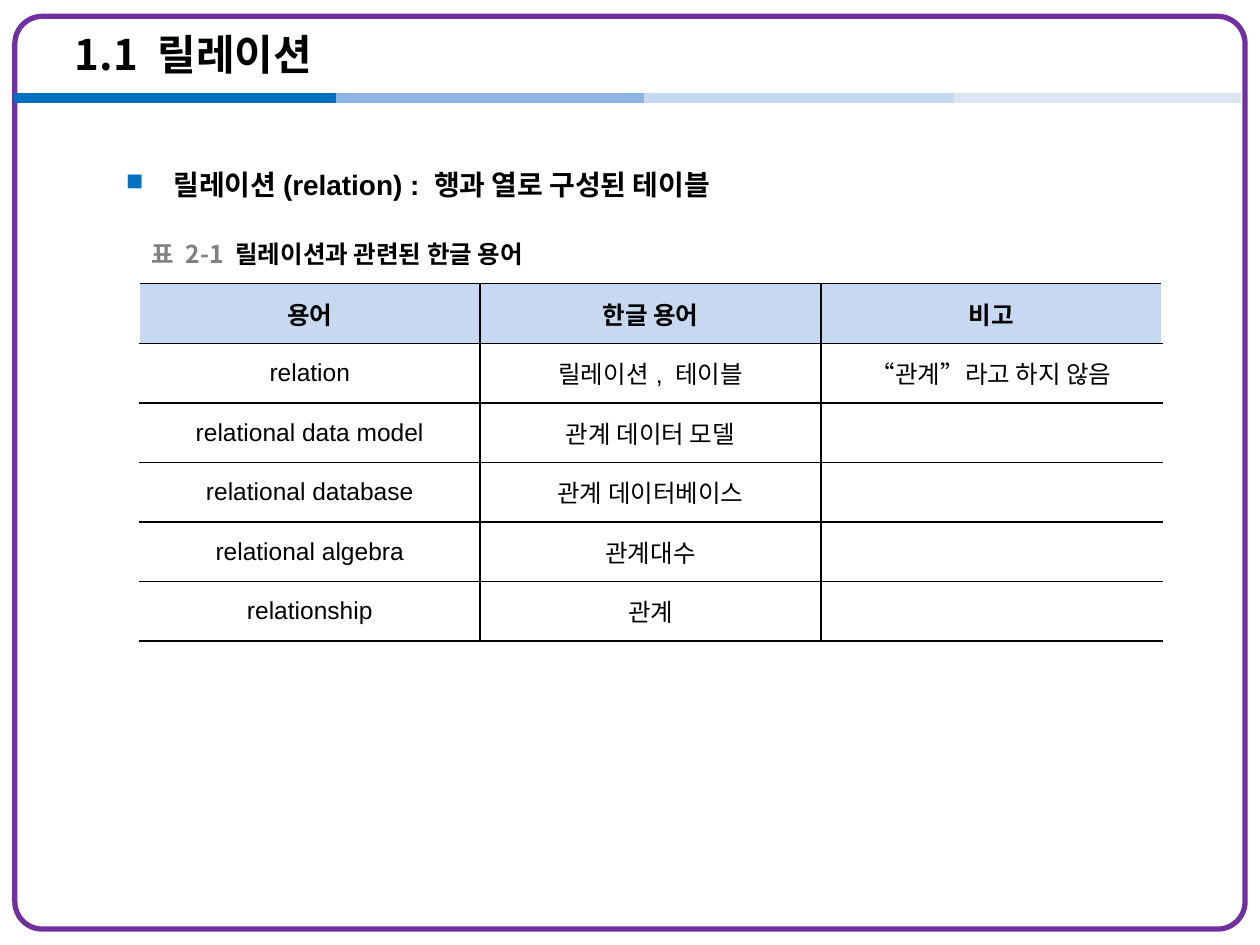
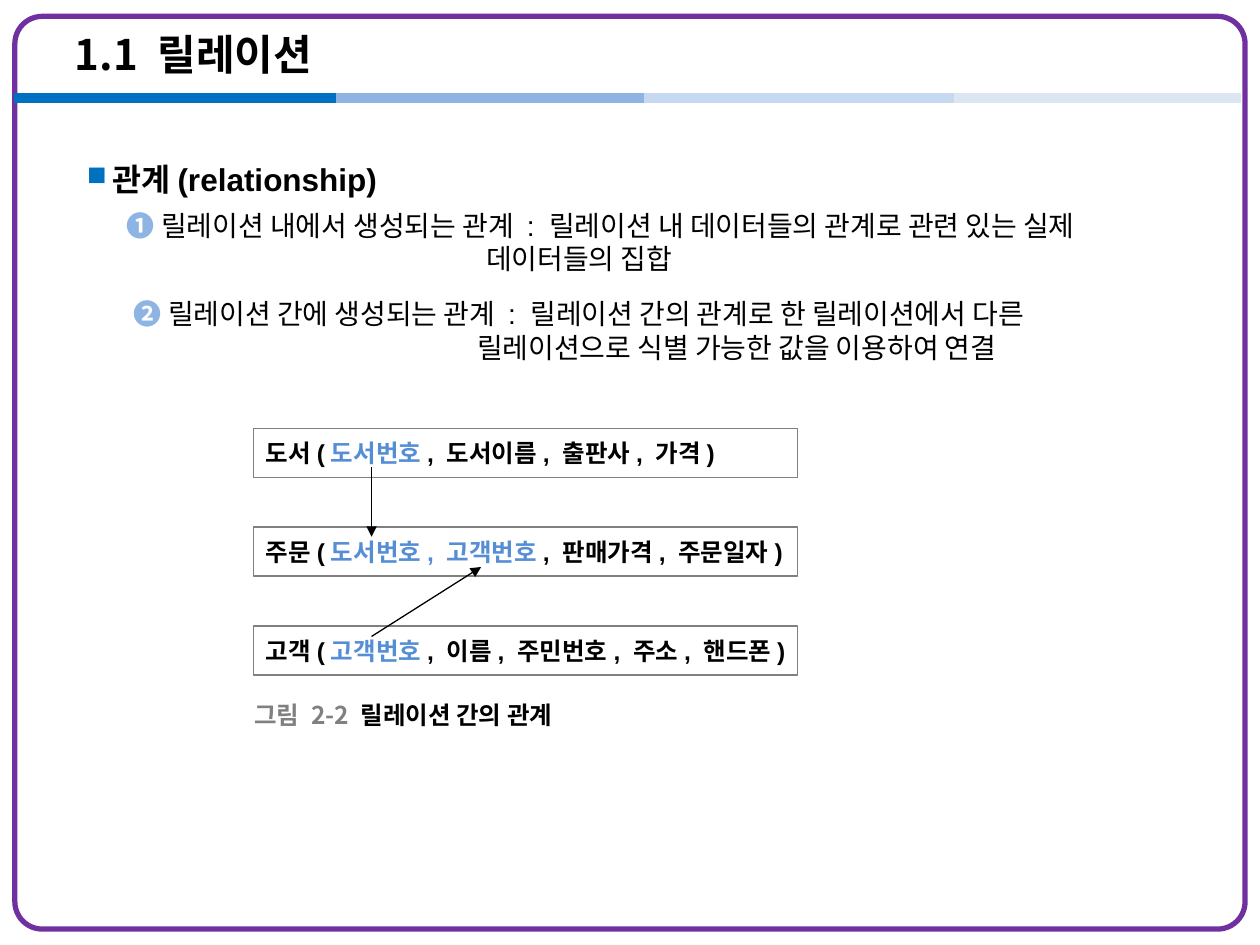
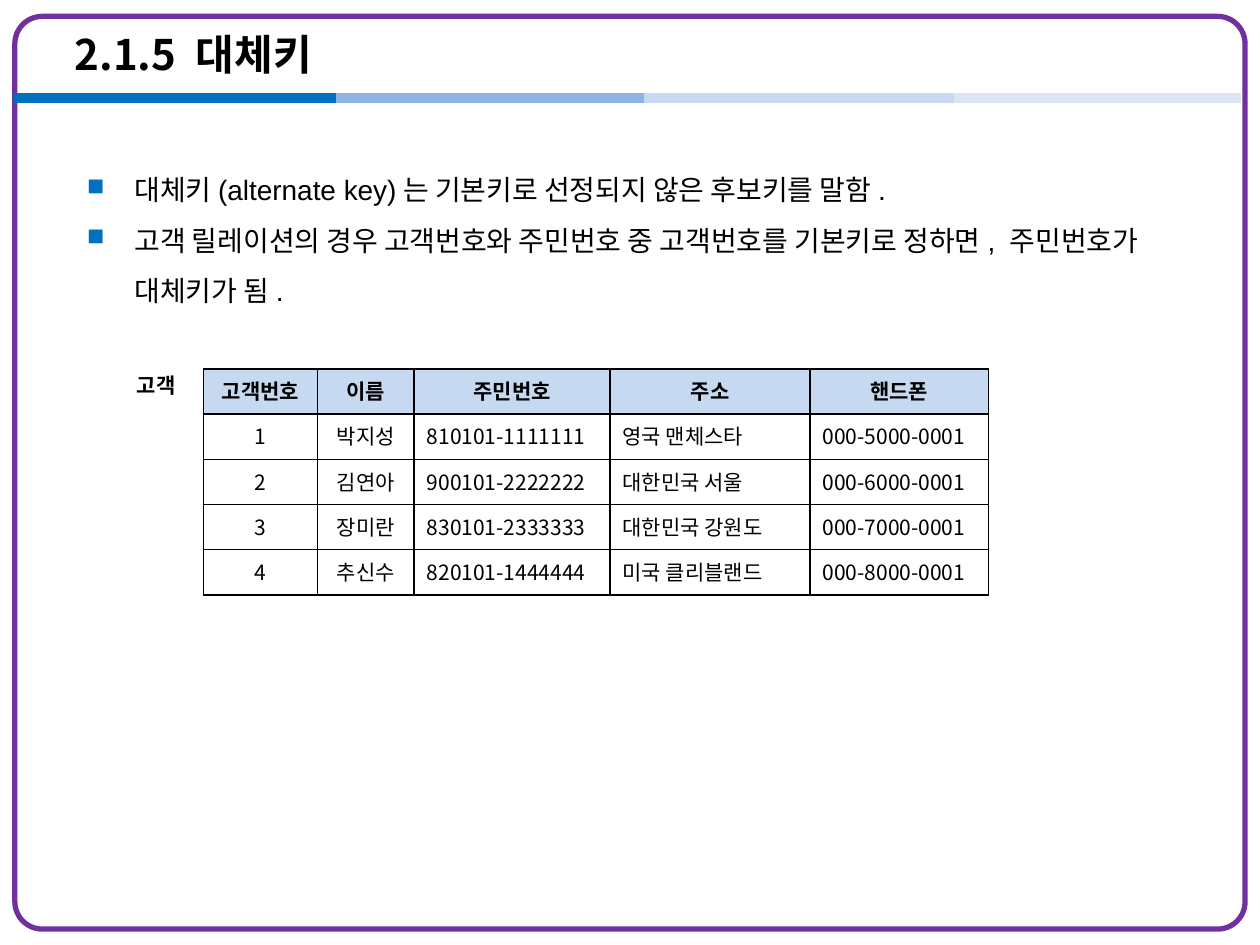
from lxml import etree
from pptx import Presentation
from pptx import util as u
from pptx.dml import color
from pptx.enum import shapes, text
from pptx.oxml import ns

Cm = u.Cm
COLORS = {
    "black": "000000", "white": "FFFFFF", "gray": "808080", "frame": "7030A0",
    "blue": "0070C0", "number": "8EB4E3", "header": "C6D9F1", "pale": "DCE6F2",
    "key": "558ED5",
}
LATIN, KOREAN = "Arial", "Noto Sans CJK KR"
LEFT, CENTER = text.PP_ALIGN.LEFT, text.PP_ALIGN.CENTER
TOP, MIDDLE = text.MSO_ANCHOR.TOP, text.MSO_ANCHOR.MIDDLE

# start, end and colour of each piece of the band under the title
BAND_TOP = 1.98
BAND = [(0.28, 6.78, "blue"), (6.78, 13.28, "number"),
        (12.98, 19.48, "header"), (19.23, 25.02, "pale")]

TERMS = [
    ("용어", "한글 용어", "비고"),
    ("relation", "릴레이션, 테이블", "“관계”라고 하지 않음"),
    ("relational data model", "관계 데이터 모델", ""),
    ("relational database", "관계 데이터베이스", ""),
    ("relational algebra", "관계대수", ""),
    ("relationship", "관계", ""),
]
CUSTOMERS = [
    ("고객번호", "이름", "주민번호", "주소", "핸드폰"),
    ("1", "박지성", "810101-1111111", "영국 맨체스타", "000-5000-0001"),
    ("2", "김연아", "900101-2222222", "대한민국 서울", "000-6000-0001"),
    ("3", "장미란", "830101-2333333", "대한민국 강원도", "000-7000-0001"),
    ("4", "추신수", "820101-1444444", "미국 클리블랜드", "000-8000-0001"),
]
# number, first line, its indent, second line, its indent
RELATIONSHIPS = [
    ("❶ ", "릴레이션 내에서 생성되는 관계 : 릴레이션 내 데이터들의 관계로 관련 있는 실제", 0.81,
     "데이터들의 집합", 8.05),
    ("❷ ", "릴레이션 간에 생성되는 관계 : 릴레이션 간의 관계로 한 릴레이션에서 다른", 0.95,
     "릴레이션으로 식별 가능한 값을 이용하여 연결", 7.87),
]
# relation name, its keys, its other attributes
SCHEMAS = [
    ("도서(", "도서번호", ", 도서이름, 출판사, 가격)"),
    ("주문(", "도서번호, 고객번호", ", 판매가격, 주문일자)"),
    ("고객(", "고객번호", ", 이름, 주민번호, 주소, 핸드폰)"),
]
KEY_ARROWS = [(7.49, 9.42, 7.49, 10.82), (7.49, 12.83, 9.7, 11.43)]
ALTERNATE_KEY = [
    "대체키(alternate key)는 기본키로 선정되지 않은 후보키를 말함.",
    "고객 릴레이션의 경우 고객번호와 주민번호 중 고객번호를 기본키로 정하면, 주민번호가 대체키가 됨.",
]


def rgb(name):
    return color.RGBColor.from_string(COLORS[name])


def add_xml(parent, tag, **attributes):
    return etree.SubElement(parent, ns.qn(tag), attributes)


def write(frame, content, new=False, size=16, font=LATIN, bold=False, ink="black",
          align=LEFT, margin=0, hanging=0, bullet=False, spacing=None, after=None):
    """Write one paragraph; content is a string or a list of (text, colour, bold)."""
    para = frame.add_paragraph() if new else frame.paragraphs[0]
    props = para._p.get_or_add_pPr()
    props.set("marL", str(Cm(margin)))
    props.set("indent", str(-Cm(hanging)))
    if bullet:
        add_xml(add_xml(props, "a:buClr"), "a:srgbClr", val=COLORS["blue"])
        add_xml(props, "a:buSzPct", val="85000")
        add_xml(props, "a:buChar", char="■")
    para.alignment = align
    if spacing:
        para.line_spacing = spacing
    if after:
        para.space_after = u.Pt(after)
    spans = [(content, ink, bold)] if isinstance(content, str) else content
    for words, span_ink, span_bold in spans:
        span = para.add_run()
        span.text = words
        span.font.size = u.Pt(size)
        span.font.bold = span_bold
        span.font.color.rgb = rgb(span_ink)
        span.font.name = font
        add_xml(span._r.get_or_add_rPr(), "a:ea", typeface=KOREAN)


def add_box(page, left, top, width, height, wrap=True, anchor=TOP):
    frame = page.shapes.add_textbox(Cm(left), Cm(top), Cm(width), Cm(height)).text_frame
    frame.word_wrap = wrap
    frame.vertical_anchor = anchor
    return frame


def add_caption(page, left, top, number, title):
    frame = add_box(page, left, top, 9.2, 0.78, anchor=MIDDLE)
    write(frame, [(number, "gray", True), (title, "black", True)], size=14, font=KOREAN)


def add_line(page, x1, y1, x2, y2, ink="black", width=0.75, arrow=False):
    line = page.shapes.add_connector(
        shapes.MSO_CONNECTOR.STRAIGHT, Cm(x1), Cm(y1), Cm(x2), Cm(y2))
    line.line.color.rgb = rgb(ink)
    line.line.width = u.Pt(width)
    if arrow:
        add_xml(line.line._get_or_add_ln(), "a:tailEnd", type="triangle")
    add_xml(line._element.spPr, "a:effectLst")


def add_outline(page, kind, left, top, width, height, ink, weight):
    shape = page.shapes.add_shape(kind, Cm(left), Cm(top), Cm(width), Cm(height))
    shape.shadow.inherit = False
    shape.fill.background()
    shape.line.color.rgb = rgb(ink)
    shape.line.width = u.Pt(weight)
    return shape


def add_page(deck, title):
    page = deck.slides.add_slide(deck.slide_layouts[5])
    frame = add_outline(page, shapes.MSO_SHAPE.ROUNDED_RECTANGLE,
                        0.3, 0.33, 24.8, 18.4, "frame", 3)
    frame.adjustments[0] = 0.03
    for start, end, ink in BAND:
        add_line(page, start, BAND_TOP, end, BAND_TOP, ink, 6)
    holder = page.shapes.title
    holder.left, holder.top, holder.width, holder.height = map(Cm, (1.25, 0.33, 21, 1.52))
    holder.text_frame.vertical_anchor = MIDDLE
    holder.text_frame.auto_size = text.MSO_AUTO_SIZE.NONE
    write(holder.text_frame, title, size=24, font=KOREAN, bold=True)
    return page


def draw_borders(cell, sides):
    props = cell._tc.get_or_add_tcPr()
    for side in ("L", "R", "T", "B"):
        if side in sides:
            line = add_xml(props, "a:ln" + side, w=str(u.Pt(1)))
            add_xml(add_xml(line, "a:solidFill"), "a:srgbClr", val=COLORS["black"])


def add_grid(page, rows, left, top, widths, row_height, size, body_font,
             anchor, centered, open_sides=False):
    """Add a table; columns before number `centered` have centred values."""
    last = len(widths) - 1
    table = page.shapes.add_table(
        len(rows), len(widths), Cm(left), Cm(top),
        Cm(sum(widths)), Cm(row_height * len(rows))).table
    table.horz_banding = False
    for column, width in zip(table.columns, widths):
        column.width = Cm(width)
    for r, values in enumerate(rows):
        table.rows[r].height = Cm(row_height)
        for c, value in enumerate(values):
            cell = table.cell(r, c)
            cell.vertical_anchor = anchor
            sides = "TB"
            if c > 0 or not open_sides:
                sides += "L"
            if c < last or not open_sides:
                sides += "R"
            draw_borders(cell, sides)
            cell.fill.solid()
            cell.fill.fore_color.rgb = rgb("white" if r else "header")
            if value:
                write(cell.text_frame, value, size=size, bold=r == 0,
                      font=body_font if r else KOREAN,
                      align=CENTER if r == 0 or c < centered else LEFT)


def build_terms(deck):
    page = add_page(deck, "1.1 릴레이션")
    body = add_box(page, 2.29, 2.92, 22.4, 15.19)
    write(body, "릴레이션(relation) : 행과 열로 구성된 테이블", bold=True,
          margin=0.96, hanging=0.96, bullet=True, spacing=1.5)
    add_grid(page, TERMS, 2.81, 5.72, [6.87] * 3, 1.2, 14, LATIN, MIDDLE,
             centered=3, open_sides=True)
    add_caption(page, 2.81, 4.73, "표 2-1 ", "릴레이션과 관련된 한글 용어")


def build_relationships(deck):
    page = add_page(deck, "1.1 릴레이션")
    body = add_box(page, 1.5, 2.72, 22.8, 15.19)
    write(body, "관계(relationship)", size=18, bold=True, margin=0.51, hanging=0.51,
          bullet=True, spacing=1.5, after=6)
    for number, first, first_indent, second, second_indent in RELATIONSHIPS:
        write(body, [(number, "number", True), (first, "black", False)],
              new=True, margin=first_indent)
        write(body, second, new=True, margin=second_indent, after=12)
    add_caption(page, 4.88, 14.02, "그림 2-2 ", "릴레이션 간의 관계")
    for i, (name, keys, others) in enumerate(SCHEMAS):
        schema = add_outline(page, shapes.MSO_SHAPE.RECTANGLE,
                             5.11, 8.64 + 1.99 * i, 10.97, 0.99, "gray", 1)
        frame = schema.text_frame
        frame.margin_right = 0
        frame.vertical_anchor = MIDDLE
        write(frame, [(name, "black", True), (keys, "key", True), (others, "black", True)],
              size=14)
    for ends in KEY_ARROWS:
        add_line(page, *ends, arrow=True)


def build_alternate_key(deck):
    page = add_page(deck, "2.1.5 대체키")
    body = add_box(page, 1.5, 3.02, 22.4, 3.51)
    for i, sentence in enumerate(ALTERNATE_KEY):
        write(body, sentence, new=i > 0, margin=0.96, hanging=0.96,
              bullet=True, spacing=1.5)
    add_grid(page, CUSTOMERS, 4.1, 7.44, [2.3, 1.95, 3.95, 4.03, 3.6], 0.91, 12,
             KOREAN, TOP, centered=2)
    label = add_box(page, 2.51, 7.39, 1.37, 0.76, wrap=False)
    label.auto_size = text.MSO_AUTO_SIZE.SHAPE_TO_FIT_TEXT
    write(label, "고객", size=12, bold=True)


def main():
    deck = Presentation()
    deck.slide_width, deck.slide_height = Cm(25.4), Cm(19.05)
    build_terms(deck)
    build_relationships(deck)
    build_alternate_key(deck)
    deck.save("out.pptx")


if __name__ == "__main__":
    main()
